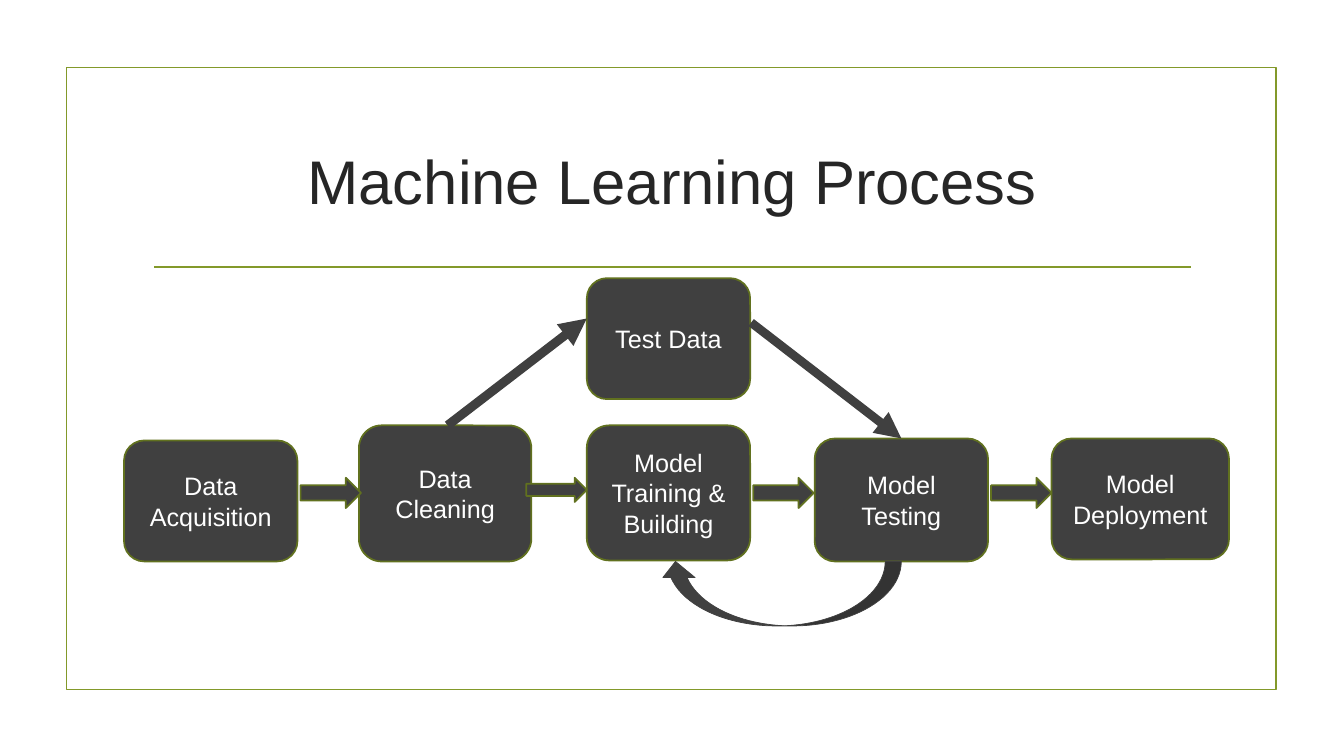
"""Build the machine learning process slide."""
from typing import NamedTuple

from lxml import etree
from pptx import Presentation
from pptx import util as u
from pptx.dml.color import RGBColor
from pptx.enum import shapes, text
from pptx.oxml.ns import qn

FONT = "Arial"
CHARCOAL = "404040"
OLIVE = "83992A"
DARK_OLIVE = "61711F"
KIND = shapes.MSO_SHAPE


class Area(NamedTuple):
    left: float
    top: float
    width: float
    height: float


class Stage(NamedTuple):
    label: str
    area: Area


class Link(NamedTuple):
    start: tuple[float, float]
    end: tuple[float, float]
    color: str
    weight: float
    arrow: bool = True


STAGES = [
    Stage("Data Acquisition", Area(1.23, 4.37, 1.72, 1.2)),
    Stage("Model Deployment", Area(10.43, 4.35, 1.76, 1.2)),
    Stage("Model Testing", Area(8.08, 4.35, 1.72, 1.22)),
    Stage("Model Training & Building", Area(5.82, 4.22, 1.62, 1.34)),
    Stage("Data Cleaning", Area(3.56, 4.22, 1.71, 1.35)),
    Stage("Test Data", Area(5.82, 2.76, 1.62, 1.2)),
]
STEP_ARROWS = [Area(left, 4.74, 0.6, height)
               for left, height in [(2.98, 0.3), (5.22, 0.24), (7.47, 0.3), (9.83, 0.3)]]
TITLE_RULE = Link((1.53, 2.65), (11.81, 2.65), OLIVE, 1.25, arrow=False)
TO_TEST_DATA = Link((4.44, 4.22), (5.82, 3.16), CHARCOAL, 6.5)
TO_TESTING = Link((7.45, 3.2), (8.94, 4.35), CHARCOAL, 6.25)


def paint(color_format, color: str) -> None:
    color_format.rgb = RGBColor.from_string(color)


def write(frame, wording: str, size: float, color: str) -> None:
    frame.text = wording
    frame.word_wrap = True
    frame.vertical_anchor = text.MSO_ANCHOR.MIDDLE
    paragraph = frame.paragraphs[0]
    paragraph.alignment = text.PP_ALIGN.CENTER
    font = paragraph.runs[0].font
    font.name, font.size = FONT, u.Pt(size)
    paint(font.color, color)


def draw_shape(slide, kind, area: Area, fill: str | None = CHARCOAL,
               outline: str = DARK_OLIVE, weight: float = 1.25):
    shape = slide.shapes.add_shape(kind, *map(u.Inches, area))
    shape.shadow.inherit = False
    if fill:
        shape.fill.solid()
        paint(shape.fill.fore_color, fill)
    else:
        shape.fill.background()
    paint(shape.line.color, outline)
    shape.line.width = u.Pt(weight)
    return shape


def draw_link(slide, link: Link):
    connector = slide.shapes.add_connector(
        shapes.MSO_CONNECTOR.STRAIGHT, *map(u.Inches, link.start + link.end))
    paint(connector.line.color, link.color)
    connector.line.width = u.Pt(link.weight)
    properties = connector._element.spPr
    if link.arrow:
        etree.SubElement(properties.find(qn("a:ln")), qn("a:tailEnd"), type="triangle")
    etree.SubElement(properties, qn("a:effectLst"))
    return connector


def main() -> None:
    deck = Presentation()
    deck.slide_width, deck.slide_height = u.Inches(13.33), u.Inches(7.5)
    slide = deck.slides.add_slide(deck.slide_layouts[5])

    title = slide.shapes.title
    title.left, title.top, title.width, title.height = map(u.Inches, (1.42, 1.07, 10.5, 1.43))
    write(title.text_frame, "Machine Learning Process", 44, "262626")

    draw_shape(slide, KIND.RECTANGLE, Area(0.66, 0.67, 12, 6.17), None, OLIVE)
    draw_link(slide, TITLE_RULE)

    boxes = {}
    for stage in STAGES:
        box = draw_shape(slide, KIND.ROUNDED_RECTANGLE, stage.area)
        write(box.text_frame, stage.label, 18, "FFFFFF")
        boxes[stage.label] = box
    for area in STEP_ARROWS:
        draw_shape(slide, KIND.RIGHT_ARROW, area)

    draw_link(slide, TO_TEST_DATA)
    draw_link(slide, TO_TESTING).end_connect(boxes["Model Testing"], 0)

    retraining = draw_shape(slide, KIND.CURVED_UP_ARROW, Area(6.54, 5.57, 2.4, 0.64),
                            outline=CHARCOAL, weight=0.5)
    retraining._element.spPr.find(qn("a:xfrm")).set("flipH", "1")

    deck.save("out.pptx")


if __name__ == "__main__":
    main()
